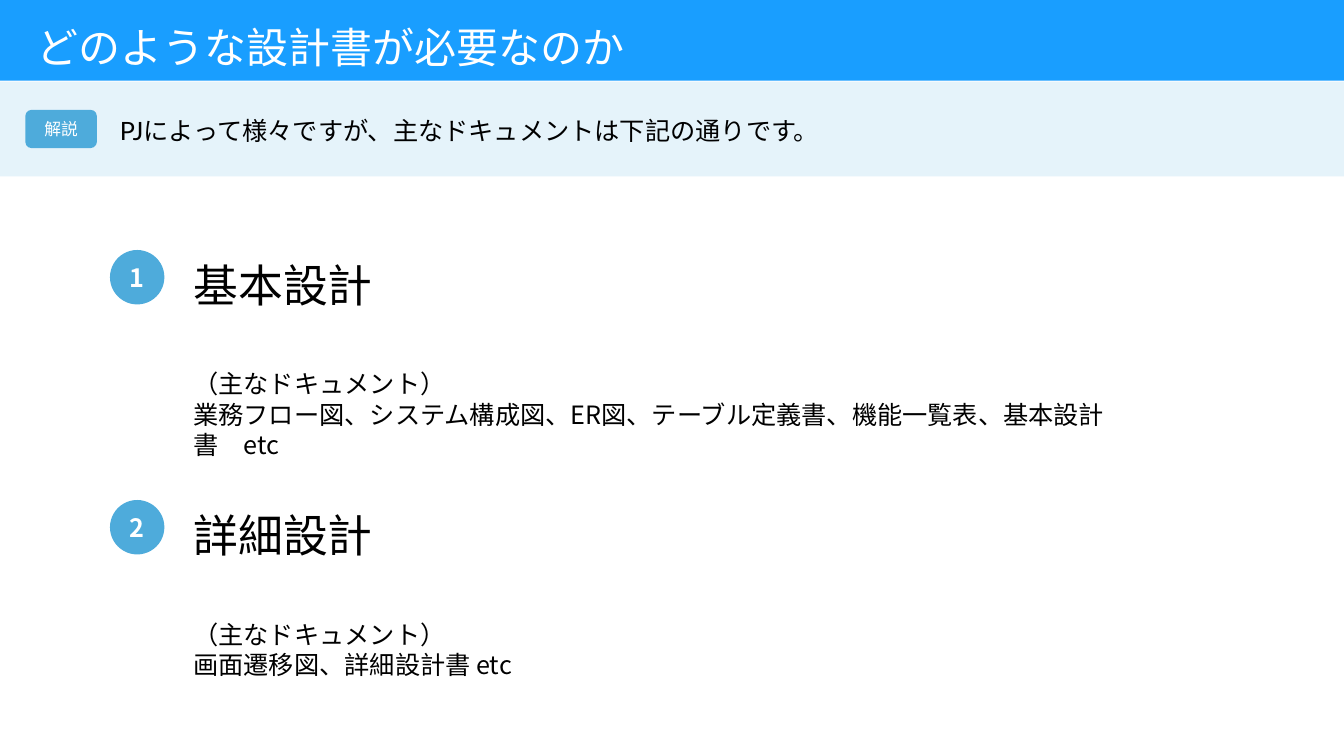
from dataclasses import dataclass

from pptx import Presentation
from pptx.dml.color import RGBColor
from pptx.enum.shapes import MSO_SHAPE
from pptx.enum.text import MSO_ANCHOR, PP_ALIGN
from pptx.oxml.ns import qn
from pptx.util import Inches, Pt

RECT, ROUND, OVAL = MSO_SHAPE.RECTANGLE, MSO_SHAPE.ROUNDED_RECTANGLE, MSO_SHAPE.OVAL
TOP, MIDDLE = MSO_ANCHOR.TOP, MSO_ANCHOR.MIDDLE
LEFT, CENTER = PP_ALIGN.LEFT, PP_ALIGN.CENTER
BLUE, PALE, SKY = "199EFF", "E5F3FA", "4EABDB"
WHITE, BLACK = "FFFFFF", "000000"
NOTO = "Noto Sans CJK JP"
EDGE, INDENT = 8.18, 13.65
FIRST, STEP = 33.07, 33.07


@dataclass(frozen=True)
class Box:
    x: float
    y: float
    w: float
    h: float


@dataclass(frozen=True)
class Style:
    size: int
    font: str = NOTO
    color: str = BLACK
    bold: bool = False
    align: PP_ALIGN = LEFT
    anchor: MSO_ANCHOR = TOP
    wrap: bool = True
    spacing: float = 1.0


@dataclass(frozen=True)
class Topic:
    name: str
    docs: str
    width: float


HEADING = Style(32, wrap=False)
BODY = Style(18)
NUMBER = Style(18, color=WHITE, bold=True, align=CENTER, anchor=MIDDLE)
TITLE = Style(30, "Montserrat", WHITE, anchor=MIDDLE, spacing=0.9)
LABEL = Style(12, "Arial", WHITE, align=CENTER, anchor=MIDDLE)
LEAD = Style(18, "Lato", anchor=MIDDLE)

TOPICS = [
    Topic("基本設計", "業務フロー図、システム構成図、ER図、テーブル定義書、機能一覧表、基本設計書　etc", 71.19),
    Topic("詳細設計", "画面遷移図、詳細設計書 etc", 67.14),
]

deck = Presentation()
deck.slide_width, deck.slide_height = Inches(13.33), Inches(7.5)
slide = deck.slides.add_slide(deck.slide_layouts[6])


def paint(value: str) -> RGBColor:
    return RGBColor.from_string(value)


def place(box: Box) -> tuple[int, int, int, int]:
    wide, high = deck.slide_width / 100, deck.slide_height / 100
    return int(box.x * wide), int(box.y * high), int(box.w * wide), int(box.h * high)


def write(shape, lines: list[str], style: Style) -> None:
    frame = shape.text_frame
    frame.word_wrap = style.wrap
    frame.vertical_anchor = style.anchor
    for index, line in enumerate(lines):
        para = frame.add_paragraph() if index else frame.paragraphs[0]
        para.alignment = style.align
        para.line_spacing = style.spacing
        run = para.add_run()
        run.text = line
        font = run.font
        font.size, font.name, font.bold = Pt(style.size), style.font, style.bold
        font.color.rgb = paint(style.color)
        east = run._r.get_or_add_rPr().makeelement(qn("a:ea"), {"typeface": NOTO})
        font._rPr.find(qn("a:latin")).addnext(east)


def panel(kind: MSO_SHAPE, box: Box, color: str):
    shape = slide.shapes.add_shape(kind, *place(box))
    shape.shadow.inherit = False
    shape.fill.solid()
    shape.fill.fore_color.rgb = paint(color)
    shape.line.fill.background()
    return shape


def label(box: Box, lines: list[str], style: Style) -> None:
    write(slide.shapes.add_textbox(*place(box)), lines, style)


def section(number: int, topic: Topic) -> None:
    top = FIRST + (number - 1) * STEP
    write(panel(OVAL, Box(EDGE, top, 4.05, 7.2), SKY), [str(number)], NUMBER)
    label(Box(INDENT, top + 0.35, 15, 8.53), [topic.name], HEADING)
    label(Box(INDENT, top + 15.06, topic.width, 9.47), ["（主なドキュメント）", topic.docs], BODY)


panel(RECT, Box(0, 0, 100, 10.67), BLUE)
label(Box(1.95, 2.27, 89.42, 8.67), ["どのような設計書が必要なのか"], TITLE)
panel(RECT, Box(0, 10.8, 100, 12.53), PALE)
write(panel(ROUND, Box(1.88, 14.53, 5.33, 5.07), SKY), ["解説"], LABEL)
label(Box(EDGE, 14.53, 90.92, 5.33), ["PJによって様々ですが、主なドキュメントは下記の通りです。"], LEAD)
for number, topic in enumerate(TOPICS, 1):
    section(number, topic)

deck.save("out.pptx")
